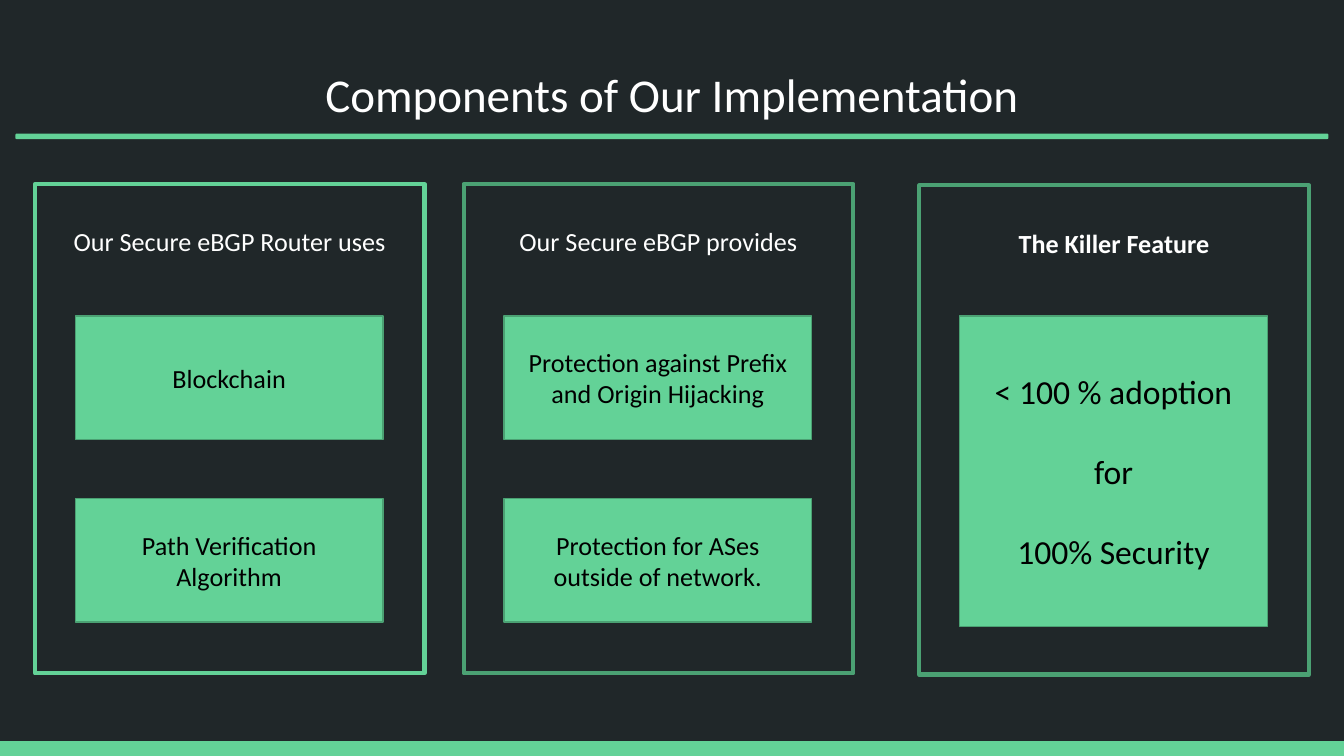
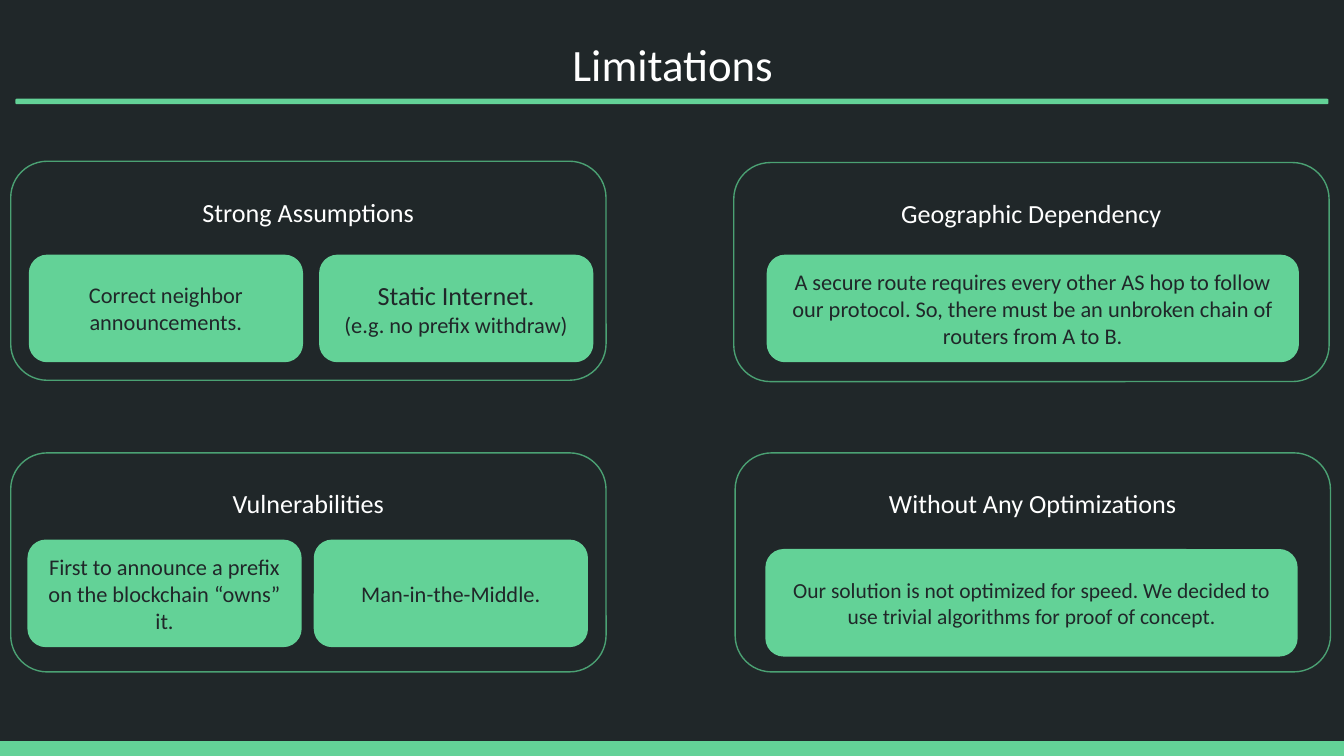
from dataclasses import dataclass

from pptx import Presentation
from pptx.dml.color import RGBColor
from pptx.enum.shapes import MSO_SHAPE
from pptx.enum.text import MSO_ANCHOR, MSO_AUTO_SIZE, PP_ALIGN
from pptx.util import Inches, Pt

RECT, ROUND = MSO_SHAPE.RECTANGLE, MSO_SHAPE.ROUNDED_RECTANGLE
TOP, MID = MSO_ANCHOR.TOP, MSO_ANCHOR.MIDDLE
CENTER = PP_ALIGN.CENTER
NO_FIT = MSO_AUTO_SIZE.NONE

# The grid has 100 columns; rows are as tall as columns are wide
COLS, ROWS = 100, 56.25
CELL = Inches(10) / COLS


@dataclass(frozen=True)
class Theme:
    font: str = "Calibri"
    dark: RGBColor = RGBColor(0x20, 0x27, 0x29)
    green: RGBColor = RGBColor(0x63, 0xD2, 0x97)
    edge: RGBColor = RGBColor(0x4B, 0xA1, 0x73)
    white: RGBColor = RGBColor(0xFF, 0xFF, 0xFF)
    black: RGBColor = RGBColor(0, 0, 0)
    big: float = 18
    head: float = 14
    body: float = 12
    small: float = 11.5
    thick: float = 2.25
    thin: float = 0.75


T = Theme()


def grid(*cells):
    return [round(cell * CELL) for cell in cells]


def write(shape, lines, color, anchor=MID, top=1, gap=0, bold=False):
    """Fill a shape with centred (text, size) lines."""
    frame = shape.text_frame
    frame.word_wrap = True
    frame.auto_size = NO_FIT
    frame.vertical_anchor = anchor
    frame.margin_left, frame.margin_right, frame.margin_bottom = grid(1, 1, 1)
    frame.margin_top = grid(top)[0]
    for i, (text, size) in enumerate(lines):
        para = frame.paragraphs[0] if i == 0 else frame.add_paragraph()
        para.text = text
        para.alignment = CENTER
        para.space_before = Pt(gap if i else 0)
        para.font.name = T.font
        para.font.size = Pt(size)
        para.font.color.rgb = color
        para.font.bold = bold


def block(slide, kind, area, fill=None, line=None, width=T.thin):
    shape = slide.shapes.add_shape(kind, *grid(*area))
    shape.shadow.inherit = False
    if fill is None:
        shape.fill.background()
    else:
        shape.fill.solid()
        shape.fill.fore_color.rgb = fill
    if line is None:
        shape.line.fill.background()
    else:
        shape.line.color.rgb = line
        shape.line.width = Pt(width)
    return shape


def panel(slide, kind, area, head, top, line=T.edge, width=T.thin, bold=False):
    """An outlined box with its heading near the top."""
    shape = block(slide, kind, area, None, line, width)
    write(shape, [(head, T.head)], T.white, TOP, top, bold=bold)


def card(slide, kind, area, lines, line, color, gap=0):
    write(block(slide, kind, area, T.green, line), lines, color, gap=gap)


def start(prs, title, area, size, rule):
    """A slide with its title, the rule below it and the bottom band."""
    slide = prs.slides.add_slide(prs.slide_layouts[5])
    head = slide.shapes.title
    head.left, head.top, head.width, head.height = grid(*area)
    write(head, [(title, size)], T.white)
    block(slide, ROUND, (1.2, rule, 97.6, 0.3), T.green, T.green)
    block(slide, RECT, (0, ROWS - 1.1, COLS, 1.1), T.green)
    return slide


def parts(prs):
    slide = start(prs, "Components of Our Implementation",
                  (3.4, 3.8, 93.2, 6.3), 25.2, 10)
    wide, high = 22.9, 9.2
    rows = 23.5, 37.1

    # Two panels with a pair of cards each
    pairs = [
        (2.6, 5.6, T.green, "Our Secure eBGP Router uses",
         ["Blockchain", "Path Verification Algorithm"]),
        (34.5, 37.5, T.edge, "Our Secure eBGP provides",
         ["Protection against Prefix and Origin Hijacking",
          "Protection for ASes outside of network."]),
    ]
    for left, inner, line, head, texts in pairs:
        panel(slide, RECT, (left, 13.7, 29, 36.4), head, 3.1, line, T.thick)
        for row, text in zip(rows, texts):
            card(slide, RECT, (inner, row, wide, high), [(text, T.head)],
                 T.edge, T.black)

    # One panel with a tall card
    panel(slide, RECT, (68.4, 13.8, 29, 36.4), "The Killer Feature", 3.1,
          width=T.thick, bold=True)
    claim = ["< 100 % adoption", "for", "100% Security"]
    card(slide, RECT, (71.4, rows[0], wide, 23.1),
         [(text, T.big) for text in claim], T.edge, T.black, gap=21.5)


def limits(prs):
    slide = start(prs, "Limitations", (1, 1.8, 98.1, 5.8), 24, 7.4)
    half, full = 20.3, 39.5

    # Panel left, top and heading; card row and width; cards as (left, lines)
    groups = [
        (0.8, 12, "Strong Assumptions", 19, half, [
            (2.2, [("Correct neighbor announcements.", T.body)]),
            (23.8, [("Static Internet.", T.head),
                    ("(e.g. no prefix withdraw)", T.body)])]),
        (54.6, 12.1, "Geographic Dependency", 19, full, [
            (57.1, [("A secure route requires every other AS hop to follow "
                     "our protocol. So, there must be an unbroken chain of "
                     "routers from A to B.", T.body)])]),
        (0.8, 33.7, "Vulnerabilities", 40.2, half, [
            (2.1, [("First to announce a prefix on the blockchain “owns” it.",
                    T.body)]),
            (23.4, [("Man-in-the-Middle.", T.body)])]),
        (54.7, 33.7, "Without Any Optimizations", 40.9, full, [
            (57, [("Our solution is not optimized for speed. We decided to "
                   "use trivial algorithms for proof of concept.", T.small)])]),
    ]
    for left, top, head, row, wide, cards in groups:
        panel(slide, ROUND, (left, top, 44.3, 16.3), head, 1.8)
        for inner, lines in cards:
            card(slide, ROUND, (inner, row, wide, 7.9), lines, T.green, T.dark)


def main():
    prs = Presentation()
    prs.slide_width, prs.slide_height = grid(COLS, ROWS)
    back = prs.slide_master.background.fill
    back.solid()
    back.fore_color.rgb = T.dark
    parts(prs)
    limits(prs)
    prs.save("out.pptx")


if __name__ == "__main__":
    main()
